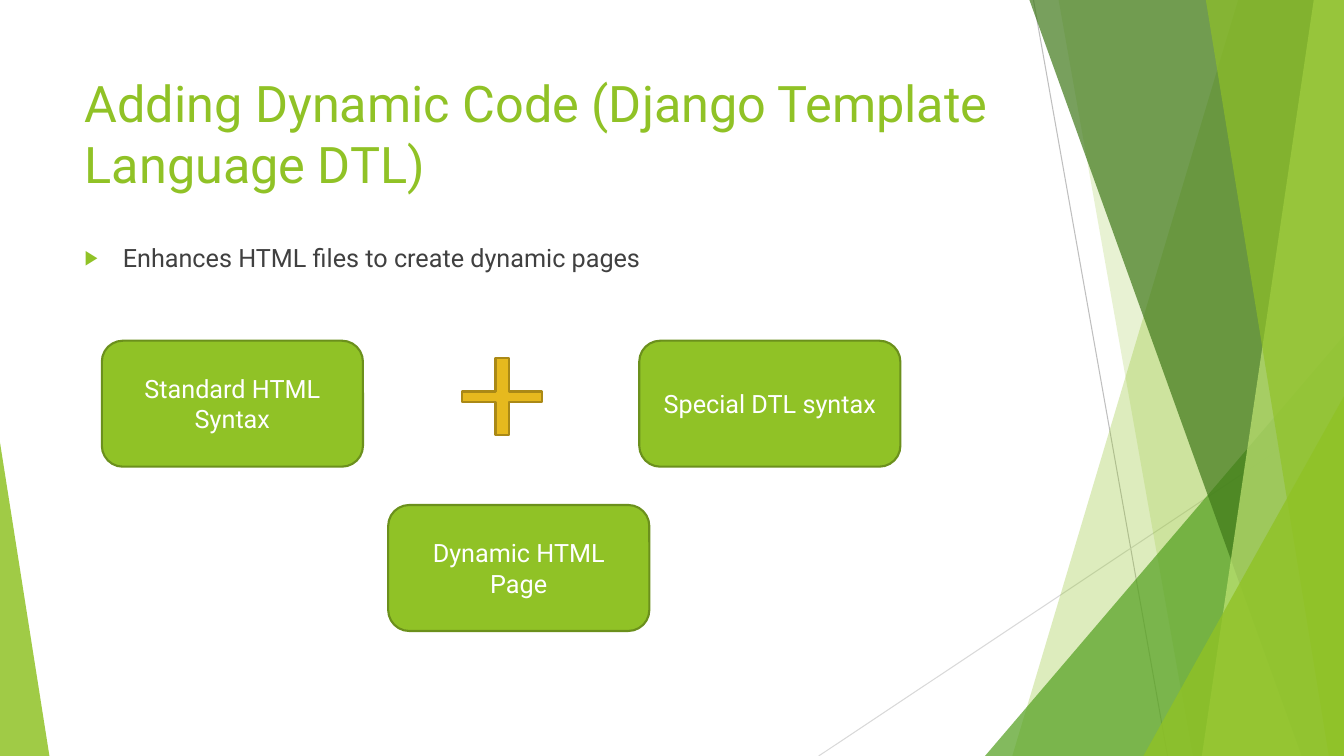
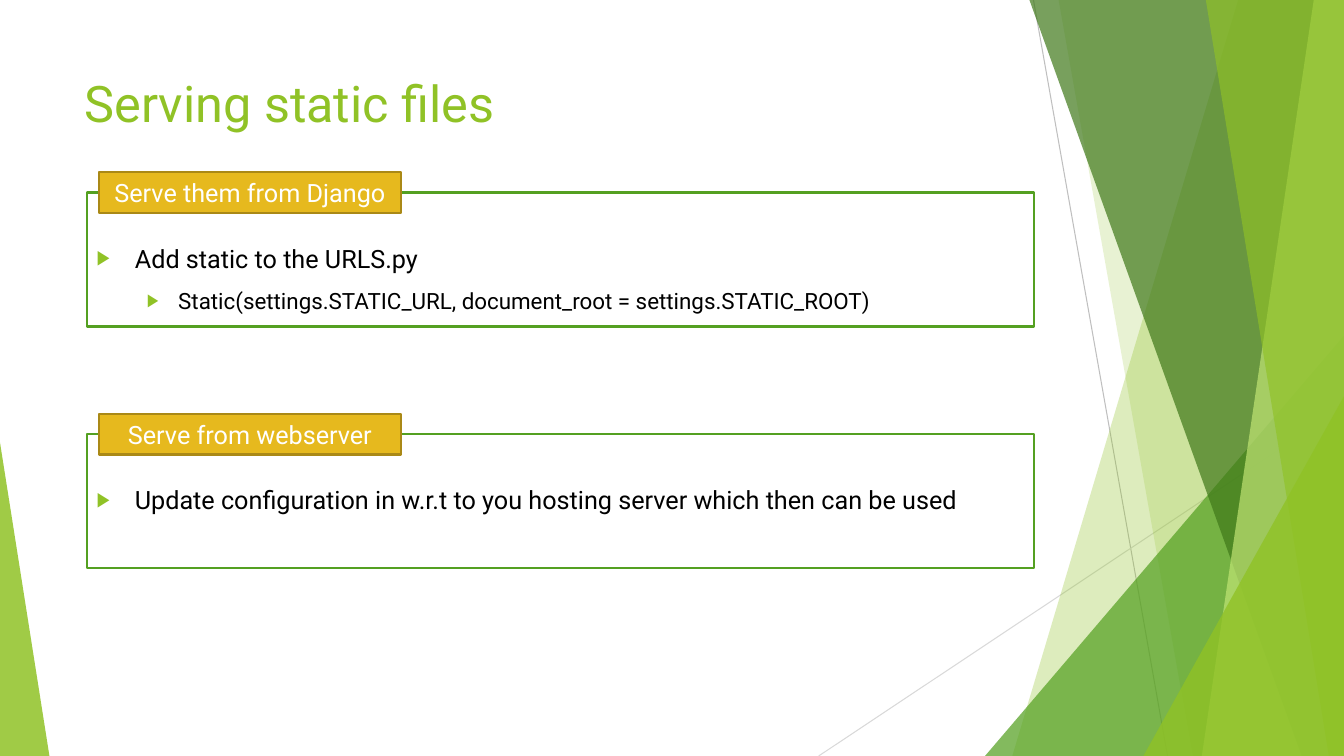
from dataclasses import dataclass

from lxml import etree
from pptx import Presentation
from pptx.dml.color import RGBColor
from pptx.enum.shapes import MSO_CONNECTOR, MSO_SHAPE
from pptx.enum.text import MSO_ANCHOR, MSO_AUTO_SIZE, PP_ALIGN
from pptx.oxml.ns import qn
from pptx.util import Inches, Pt

WIDTH, HEIGHT = 13.33, 7.5
FONT = "Roboto"
LIME, DARK_LIME = "90C226", "6B901C"
GREEN, DEEP_GREEN, PALE_GREEN = "54A021", "3F7819", "C0E474"
GOLD, DARK_GOLD = "E6B91E", "AA8916"
WHITE, BLACK, GRAY = "FFFFFF", "000000", "404040"
TITLE_LEFT, TITLE_TOP, CONTENT_WIDTH = 0.74, 0.67, 9.4


@dataclass(frozen=True)
class Box:
    left: float
    top: float
    width: float
    height: float

    def lengths(self):
        return [Inches(value) for value in (self.left, self.top, self.width, self.height)]


@dataclass(frozen=True)
class Ray:
    start: tuple
    end: tuple
    color: str


@dataclass(frozen=True)
class Band:
    """Full-height facet that reaches the right edge of the slide."""
    top_left: float
    bottom_left: float
    color: str
    opacity: int


@dataclass(frozen=True)
class Corner:
    """Triangle standing on the bottom edge, with its apex at one end."""
    left: float
    top: float
    width: float
    apex: float
    color: str
    opacity: int


@dataclass(frozen=True)
class Bullet:
    text: str
    level: int = 0


@dataclass(frozen=True)
class BulletStyle:
    margin: float
    hanging: float
    size: int


@dataclass(frozen=True)
class Panel:
    top: float
    label: str
    bullets: tuple


RAYS = (
    Ray((10.25, 0), (11.58, HEIGHT), "BFBFBF"),
    Ray((WIDTH, 4.03), (8.12, HEIGHT), "D9D9D9"),
)
FACETS = (
    Band(12.28, 10.04, LIME, 30),
    Band(10.5, 11.83, LIME, 20),
    Corner(9.77, 3.33, 3.56, 1, GREEN, 72),
    Band(10.21, 12.91, DEEP_GREEN, 70),
    Band(13.03, 11.92, PALE_GREEN, 70),
    Band(11.96, 13.18, LIME, 65),
    Corner(11.34, 3.93, 1.99, 1, LIME, 80),
    Corner(0, 4.39, 0.49, 0, LIME, 85),
)
BULLET_STYLES = (BulletStyle(0.38, 0.38, 18), BulletStyle(0.81, 0.31, 16))
CARD_WIDTH, CARD_HEIGHT = 2.59, 1.25
CARDS = (
    ("Standard HTML Syntax", 1.01, 3.38),
    ("Special DTL syntax", 6.34, 3.38),
    ("Dynamic HTML Page", 3.85, 5.01),
)
PANELS = (
    Panel(1.91, "Serve them from Django", (
        Bullet("Add static to the URLS.py"),
        Bullet("Static(settings.STATIC_URL, document_root = settings.STATIC_ROOT)", 1),
    )),
    Panel(4.31, "Serve from webserver", (
        Bullet("Update configuration in w.r.t to you hosting server which then can be used"),
    )),
)


def rgb(color: str) -> RGBColor:
    return RGBColor.from_string(color)


def paint(shape, fill: str, line: str | None = None, opacity: int = 100) -> None:
    shape.shadow.inherit = False
    shape.fill.solid()
    shape.fill.fore_color.rgb = rgb(fill)
    if opacity < 100:
        color = shape._element.spPr.find(f".//{qn('a:srgbClr')}")
        etree.SubElement(color, qn("a:alpha"), val=str(opacity * 1000))
    if line:
        shape.line.color.rgb = rgb(line)
        shape.line.width = Pt(1.5)
    else:
        shape.line.fill.background()


def format_runs(paragraph, size: int, color: str) -> None:
    for run in paragraph.runs:
        run.font.name = FONT
        run.font.size = Pt(size)
        run.font.color.rgb = rgb(color)


def add_box(slide, kind, box: Box, fill: str, line: str, text: str = ""):
    shape = slide.shapes.add_shape(kind, *box.lengths())
    paint(shape, fill, line)
    if text:
        frame = shape.text_frame
        frame.text = text
        frame.word_wrap = True
        frame.vertical_anchor = MSO_ANCHOR.MIDDLE
        frame.paragraphs[0].alignment = PP_ALIGN.CENTER
        format_runs(frame.paragraphs[0], 18, WHITE)
    return shape


def write_bullets(frame, bullets: tuple, color: str) -> None:
    frame.word_wrap = True
    frame.vertical_anchor = MSO_ANCHOR.TOP
    for index, bullet in enumerate(bullets):
        paragraph = frame.add_paragraph() if index else frame.paragraphs[0]
        paragraph.text = bullet.text
        paragraph.level = bullet.level
        paragraph.alignment = PP_ALIGN.LEFT
        if index:
            paragraph.space_before = Pt(10)
        style = BULLET_STYLES[bullet.level]
        properties = paragraph._p.get_or_add_pPr()
        properties.set("marL", str(Inches(style.margin)))
        properties.set("indent", str(-Inches(style.hanging)))
        bullet_color = etree.SubElement(properties, qn("a:buClr"))
        etree.SubElement(bullet_color, qn("a:srgbClr"), val=LIME)
        etree.SubElement(properties, qn("a:buSzPct"), val="80000")
        etree.SubElement(properties, qn("a:buFont"), typeface=FONT)
        etree.SubElement(properties, qn("a:buChar"), char="▶")
        format_runs(paragraph, style.size, color)


def add_ray(slide, ray: Ray):
    points = [Inches(value) for value in (*ray.start, *ray.end)]
    connector = slide.shapes.add_connector(MSO_CONNECTOR.STRAIGHT, *points)
    connector.line.color.rgb = rgb(ray.color)
    connector.line.width = Pt(0.75)
    etree.SubElement(connector._element.spPr, qn("a:effectLst"))
    return connector


def add_facet(slide, facet: Band | Corner):
    if isinstance(facet, Band):
        builder = slide.shapes.build_freeform(Inches(facet.top_left), 0)
        corners = ((WIDTH, 0), (WIDTH, HEIGHT), (facet.bottom_left, HEIGHT))
        builder.add_line_segments([(Inches(x), Inches(y)) for x, y in corners])
        shape = builder.convert_to_shape()
    else:
        box = Box(facet.left, facet.top, facet.width, HEIGHT - facet.top)
        shape = slide.shapes.add_shape(MSO_SHAPE.ISOSCELES_TRIANGLE, *box.lengths())
        shape.adjustments[0] = facet.apex
    paint(shape, facet.color, opacity=facet.opacity)
    return shape


def decorate_layout(slide) -> None:
    """Draw the facets on a slide and move them to its layout, which all slides share."""
    decorations = [add_ray(slide, ray) for ray in RAYS]
    decorations += [add_facet(slide, facet) for facet in FACETS]
    for shape in decorations:
        slide.slide_layout.shapes._spTree.append(shape._element)


def add_titled_slide(presentation, text: str, height: float):
    slide = presentation.slides.add_slide(presentation.slide_layouts[5])
    title = slide.shapes.title
    box = Box(TITLE_LEFT, TITLE_TOP, CONTENT_WIDTH, height)
    title.left, title.top, title.width, title.height = box.lengths()
    frame = title.text_frame
    frame.text = text
    frame.word_wrap = True
    frame.auto_size = MSO_AUTO_SIZE.NONE
    frame.vertical_anchor = MSO_ANCHOR.TOP
    frame.paragraphs[0].alignment = PP_ALIGN.LEFT
    format_runs(frame.paragraphs[0], 36, LIME)
    return slide


def build_template_language_slide(presentation):
    slide = add_titled_slide(presentation, "Adding Dynamic Code (Django Template Language DTL)", 1.44)
    body = slide.shapes.add_textbox(*Box(TITLE_LEFT, 2.36, CONTENT_WIDTH, 0.5).lengths())
    write_bullets(body.text_frame, (Bullet("Enhances HTML files to create dynamic pages"),), GRAY)
    for text, left, top in CARDS:
        box = Box(left, top, CARD_WIDTH, CARD_HEIGHT)
        add_box(slide, MSO_SHAPE.ROUNDED_RECTANGLE, box, LIME, DARK_LIME, text)
    plus = add_box(slide, MSO_SHAPE.CROSS, Box(4.58, 3.55, 0.8, 0.77), GOLD, DARK_GOLD)
    plus.adjustments[0] = 0.435
    return slide


def add_panel(slide, panel: Panel) -> None:
    left = 0.86
    frame_box = Box(left, panel.top, CONTENT_WIDTH, 1.33)
    shape = add_box(slide, MSO_SHAPE.RECTANGLE, frame_box, WHITE, GREEN)
    shape.text_frame.margin_top = Inches(0.5)
    write_bullets(shape.text_frame, panel.bullets, BLACK)
    label_box = Box(left + 0.12, panel.top - 0.2, 3, 0.4)
    add_box(slide, MSO_SHAPE.RECTANGLE, label_box, GOLD, DARK_GOLD, panel.label)


def build_static_files_slide(presentation) -> None:
    slide = add_titled_slide(presentation, "Serving static files", 0.76)
    for panel in PANELS:
        add_panel(slide, panel)


def main() -> None:
    presentation = Presentation()
    presentation.slide_width = Inches(WIDTH)
    presentation.slide_height = Inches(HEIGHT)
    decorate_layout(build_template_language_slide(presentation))
    build_static_files_slide(presentation)
    presentation.save("out.pptx")


if __name__ == "__main__":
    main()
